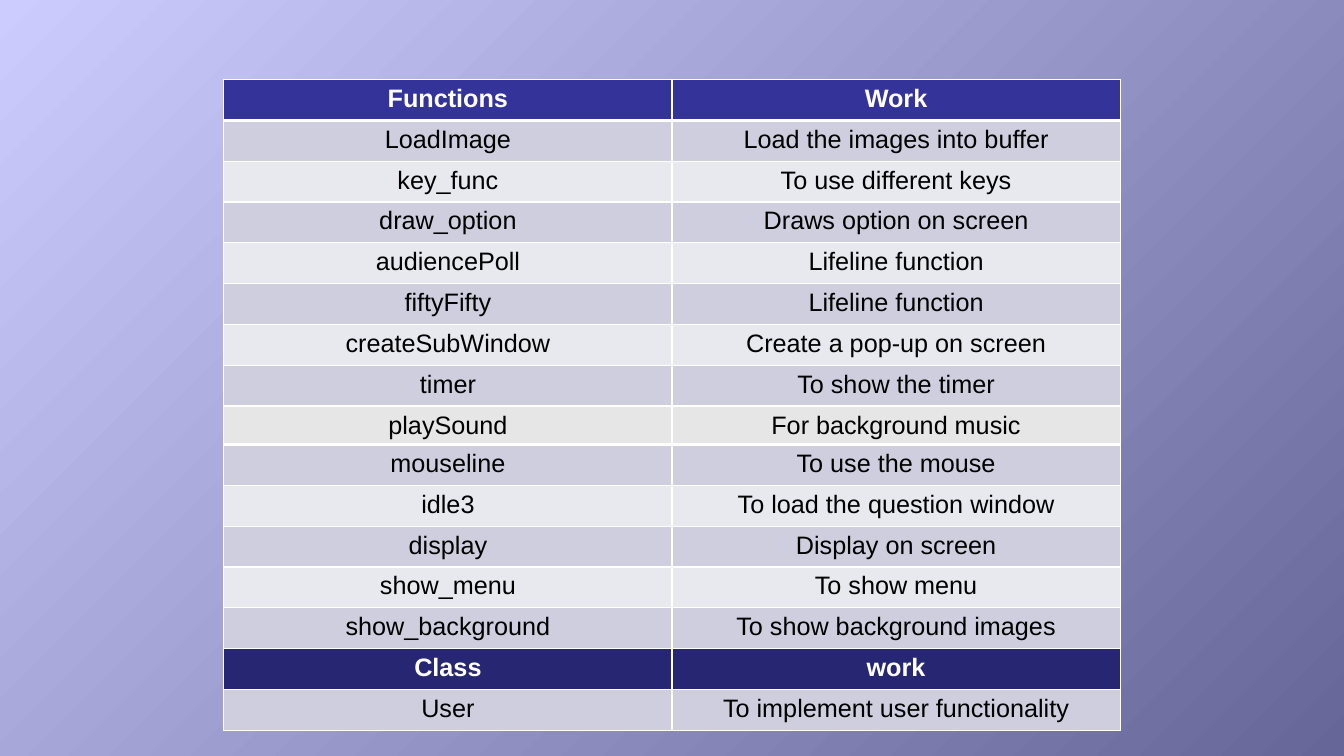
from lxml.etree import SubElement
from pptx import Presentation
from pptx.dml.color import RGBColor
from pptx.enum.text import PP_ALIGN
from pptx.oxml.ns import qn
from pptx.util import Inches, Pt

HEADER, CLASS_HEADER, PLAIN = "333399", "262673", "E6E6E6"
DARK_BAND, LIGHT_BAND = "CECEDE", "E8E8EF"
WHITE, BLACK = "FFFFFF", "000000"

TABLE_LEFT, COLUMN_WIDTH = 2.22, 4.445
ROW_HEIGHT = 3.24 / 8

FUNCTIONS = [
    ("Functions", "Work"),
    ("LoadImage", "Load the images into buffer"),
    ("key_func", "To use different keys"),
    ("draw_option", "Draws option on screen"),
    ("audiencePoll", "Lifeline function"),
    ("fiftyFifty", "Lifeline function"),
    ("createSubWindow", "Create a pop-up on screen"),
    ("timer", "To show the timer"),
]
MORE_FUNCTIONS = [
    ("playSound", "For background music"),
    ("mouseline", "To use the mouse"),
    ("idle3", "To load the question window"),
    ("display", "Display on screen"),
    ("show_menu", "To show menu"),
    ("show_background", "To show background images"),
    ("Class", "work"),
    ("User", "To implement user functionality"),
]


def color(value):
    return RGBColor.from_string(value)


class Page:
    font_name = "Arial"
    font_size = Pt(18)

    def __init__(self, deck):
        self.slide = deck.slides.add_slide(deck.slide_layouts[6])

    def gradient_background(self, start, end):
        fill = self.slide.background.fill
        fill.gradient()
        fill.gradient_angle = 315
        for stop, value in zip(fill.gradient_stops, (start, end)):
            stop.color.rgb = color(value)

    def border(self, cell, side, width):
        line = SubElement(cell._tc.get_or_add_tcPr(), qn(f"a:ln{side}"), w=str(Pt(width)))
        solid = SubElement(line, qn("a:solidFill"))
        SubElement(solid, qn("a:srgbClr"), val=WHITE)

    def cell(self, cell, text, fill, row):
        """Fill one cell; a thick rule separates the first row from the second."""
        for side in "LRTB":
            thick = (row, side) in ((0, "B"), (1, "T"))
            self.border(cell, side, 3 if thick else 1)
        cell.fill.solid()
        cell.fill.fore_color.rgb = color(fill)
        para = cell.text_frame.paragraphs[0]
        para.alignment = PP_ALIGN.CENTER
        span = para.add_run()
        span.text = text
        heading = fill in (HEADER, CLASS_HEADER)
        span.font.name = self.font_name
        span.font.size = self.font_size
        span.font.bold = heading
        span.font.color.rgb = color(WHITE if heading else BLACK)

    def table(self, top, rows, special_fills, first_height=ROW_HEIGHT):
        """Draw a banded table; special_fills maps row numbers to other fills."""
        height = first_height + ROW_HEIGHT * (len(rows) - 1)
        table = self.slide.shapes.add_table(
            len(rows), 2, Inches(TABLE_LEFT), Inches(top),
            Inches(2 * COLUMN_WIDTH), Inches(height)).table
        table.first_row = table.horz_banding = False
        for column in table.columns:
            column.width = Inches(COLUMN_WIDTH)
        for number, texts in enumerate(rows):
            table.rows[number].height = Inches(ROW_HEIGHT if number else first_height)
            band = DARK_BAND if number % 2 else LIGHT_BAND
            fill = special_fills.get(number, band)
            for column, text in enumerate(texts):
                self.cell(table.cell(number, column), text, fill, number)


def main():
    deck = Presentation()
    deck.slide_width, deck.slide_height = Inches(13.33), Inches(7.5)
    page = Page(deck)
    page.gradient_background("CCCCFF", "666699")
    page.table(0.79, FUNCTIONS, {0: HEADER})
    page.table(4.03, MORE_FUNCTIONS, {0: PLAIN, 6: CLASS_HEADER}, first_height=0.38)
    deck.save("out.pptx")


if __name__ == "__main__":
    main()
